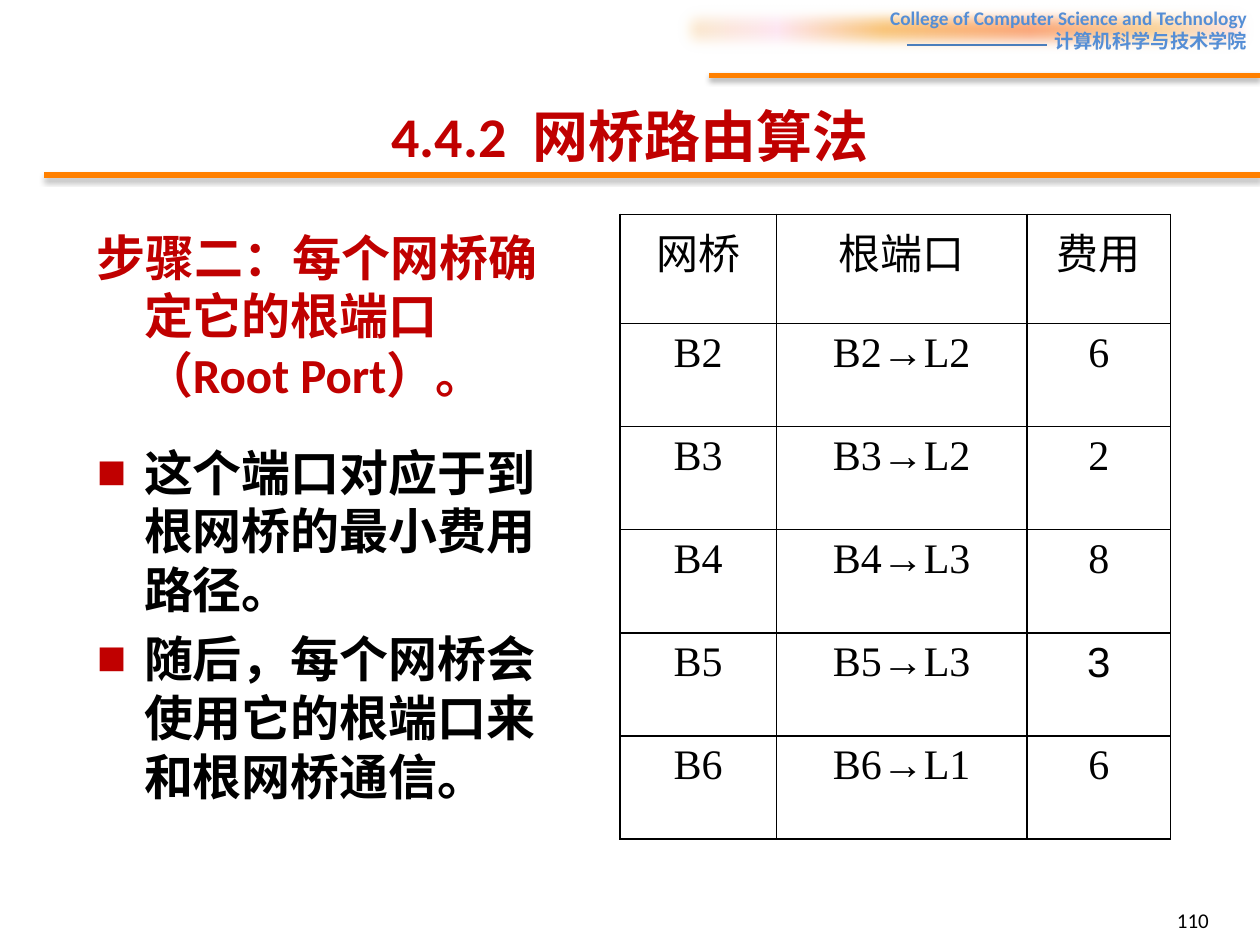
import pptx
import pptx.dml.color
import pptx.enum.shapes
import pptx.enum.text
import pptx.oxml
import pptx.oxml.ns
import pptx.util

Cm = pptx.util.Cm
Pt = pptx.util.Pt
RGBColor = pptx.dml.color.RGBColor
ALIGN = pptx.enum.text.PP_ALIGN
ANCHOR = pptx.enum.text.MSO_ANCHOR
NS = pptx.oxml.ns.nsdecls("a")

RED = RGBColor(0xC0, 0x00, 0x00)
BLACK = RGBColor(0x00, 0x00, 0x00)
WHITE = RGBColor(0xFF, 0xFF, 0xFF)
ORANGE = RGBColor(0xFF, 0x80, 0x00)
BLUE = RGBColor(0x55, 0x8E, 0xD5)
THIN_BLUE = RGBColor(0x4B, 0x7E, 0xBC)

GLOW = [(0, "FBEAC7"), (18, "FEE7F2"), (36, "FAC77D"),
        (61, "FBA97D"), (82, "FBD49C"), (100, "FEE7F2")]
SOFT_EDGE = '<a:softEdge rad="112500"/>'
RULE_SHADOW = ('<a:outerShdw blurRad="40000" dist="23000" dir="5400000" rotWithShape="0">'
               '<a:srgbClr val="000000"><a:alpha val="35000"/></a:srgbClr></a:outerShdw>')

TITLE = {"size": Pt(32), "name": "Calibri", "bold": True}
BODY = {"size": Pt(28), "name": "Calibri", "bold": True}
HEADER = {"size": Pt(11), "name": "Calibri", "bold": True}
NUMBER = {"size": Pt(12), "name": "Calibri", "bold": False}
CELL = {"size": Pt(24), "name": "Times New Roman", "bold": False}

ROWS = [("网桥", "根端口", "费用"),
        ("B2", "B2→L2", "6"),
        ("B3", "B3→L2", "2"),
        ("B4", "B4→L3", "8"),
        ("B5", "B5→L3", "3"),
        ("B6", "B6→L1", "6")]


def write(p, text, fmt, color, align=ALIGN.LEFT):
    p.alignment = align
    r = p.add_run()
    r.text = text
    for key, value in fmt.items():
        setattr(r.font, key, value)
    r.font.color.rgb = color
    return r


def place(sp, box):
    for key, value in zip(("left", "top", "width", "height"), box):
        setattr(sp, key, Cm(value))


def set_effect(spPr, effect=""):
    for old in spPr.findall(pptx.oxml.ns.qn("a:effectLst")):
        spPr.remove(old)
    spPr.append(pptx.oxml.parse_xml(f"<a:effectLst {NS}>{effect}</a:effectLst>"))


def add_rule(s, x1, x2, y, color, width, effect=""):
    line = s.shapes.add_connector(pptx.enum.shapes.MSO_CONNECTOR.STRAIGHT,
                                  Cm(x1), Cm(y), Cm(x2), Cm(y))
    line.line.color.rgb = color
    line.line.width = Pt(width)
    set_effect(line.element.spPr, effect)


def add_header(s, box):
    x, y, w, h = box
    sp = s.shapes.add_shape(pptx.enum.shapes.MSO_SHAPE.RECTANGLE, *map(Cm, box))
    sp.line.fill.background()
    sp.fill.background()
    spPr = sp.element.spPr
    stops = "".join(f'<a:gs pos="{pos * 1000}"><a:srgbClr val="{c}"/></a:gs>' for pos, c in GLOW)
    spPr.replace(spPr.find(pptx.oxml.ns.qn("a:noFill")), pptx.oxml.parse_xml(
        f'<a:gradFill {NS}><a:gsLst>{stops}</a:gsLst><a:lin ang="0"/></a:gradFill>'))
    set_effect(spPr, SOFT_EDGE)
    tf = sp.text_frame
    tf.word_wrap = True
    tf.vertical_anchor = ANCHOR.TOP
    write(tf.paragraphs[0], "College of Computer Science and Technology", HEADER, BLUE, ALIGN.RIGHT)
    write(tf.add_paragraph(), "计算机科学与技术学院", HEADER, BLUE, ALIGN.RIGHT)
    add_rule(s, x + 4.75, x + 7.57, y + 0.91, THIN_BLUE, 0.75)
    add_rule(s, x + 0.76, x + w, y + 1.52, ORANGE, 3, RULE_SHADOW)


def add_title(s, box):
    x, y, w, h = box
    sp = s.shapes.title
    place(sp, box)
    tf = sp.text_frame
    tf.auto_size = pptx.enum.text.MSO_AUTO_SIZE.NONE
    tf.vertical_anchor = ANCHOR.MIDDLE
    write(tf.paragraphs[0], "4.4.2  网桥路由算法", TITLE, RED, ALIGN.CENTER)
    add_rule(s, x - 0.38, x + w + 1.27, y + 2.01, ORANGE, 3, RULE_SHADOW)


def add_steps(s, box):
    sp = s.placeholders[1]
    place(sp, box)
    tf = sp.text_frame
    tf.auto_size = pptx.enum.text.MSO_AUTO_SIZE.NONE
    steps = [("步骤二：每个网桥确定它的根端口（Root Port）。", RED, 5.6, False),
             ("这个端口对应于到根网桥的最小费用路径。", BLACK, 22, True),
             ("随后，每个网桥会使用它的根端口来和根网桥通信。", BLACK, 5.6, True)]
    for i, (text, color, gap, bullet) in enumerate(steps):
        p = tf.paragraphs[0] if i == 0 else tf.add_paragraph()
        write(p, text, BODY, color)
        p.space_before = Pt(gap)
        pPr = p._p.get_or_add_pPr()
        pPr.set("marL", str(Cm(0.95)))
        pPr.set("indent", str(-Cm(0.95)))
        marks = [f'<a:buClr {NS}><a:srgbClr val="{RED}"/></a:buClr>',
                 f'<a:buFont {NS} typeface="Arial"/>',
                 f'<a:buChar {NS} char="■"/>'] if bullet else [f"<a:buNone {NS}/>"]
        for mark in marks:
            pPr.append(pptx.oxml.parse_xml(mark))


def add_borders(cell):
    tcPr = cell._tc.get_or_add_tcPr()
    for i, side in enumerate(("lnL", "lnR", "lnT", "lnB")):
        tcPr.insert(i, pptx.oxml.parse_xml(
            f'<a:{side} {NS} w="{Pt(1)}"><a:solidFill><a:srgbClr val="{BLACK}"/>'
            f'</a:solidFill></a:{side}>'))


def add_port_table(s, box):
    table = s.shapes.add_table(len(ROWS), len(ROWS[0]), *map(Cm, box)).table
    x, y, w, h = box
    head = 2.2
    for col, width in zip(table.columns, (3.15, 5.05, w - 8.2)):
        col.width = Cm(width)
    for i, row in enumerate(table.rows):
        row.height = Cm(head if i == 0 else (h - head) / (len(ROWS) - 1))
        for cell, text in zip(row.cells, ROWS[i]):
            cell.fill.solid()
            cell.fill.fore_color.rgb = WHITE
            add_borders(cell)
            r = write(cell.text_frame.paragraphs[0], text, CELL, BLACK, ALIGN.CENTER)
            if text == "3":
                r.font.name = "Arial"


def add_slide_number(s, box):
    tf = s.shapes.add_textbox(*map(Cm, box)).text_frame
    tf.word_wrap = True
    tf.vertical_anchor = ANCHOR.MIDDLE
    write(tf.paragraphs[0], "110", NUMBER, BLACK, ALIGN.RIGHT)


def main():
    prs = pptx.Presentation()
    prs.slide_width, prs.slide_height = Cm(25.4), Cm(19.05)
    s = prs.slides.add_slide(prs.slide_layouts[1])
    add_header(s, (13.54, 0, 11.86, 1.19))
    add_title(s, (1.27, 1.52, 22.86, 2.41))
    add_steps(s, (1.7, 4.45, 9.8, 12.5))
    add_port_table(s, (12.5, 4.32, 11.1, 12.6))
    add_slide_number(s, (18.7, 18.03, 5.92, 1.02))
    prs.save("out.pptx")


if __name__ == "__main__":
    main()
